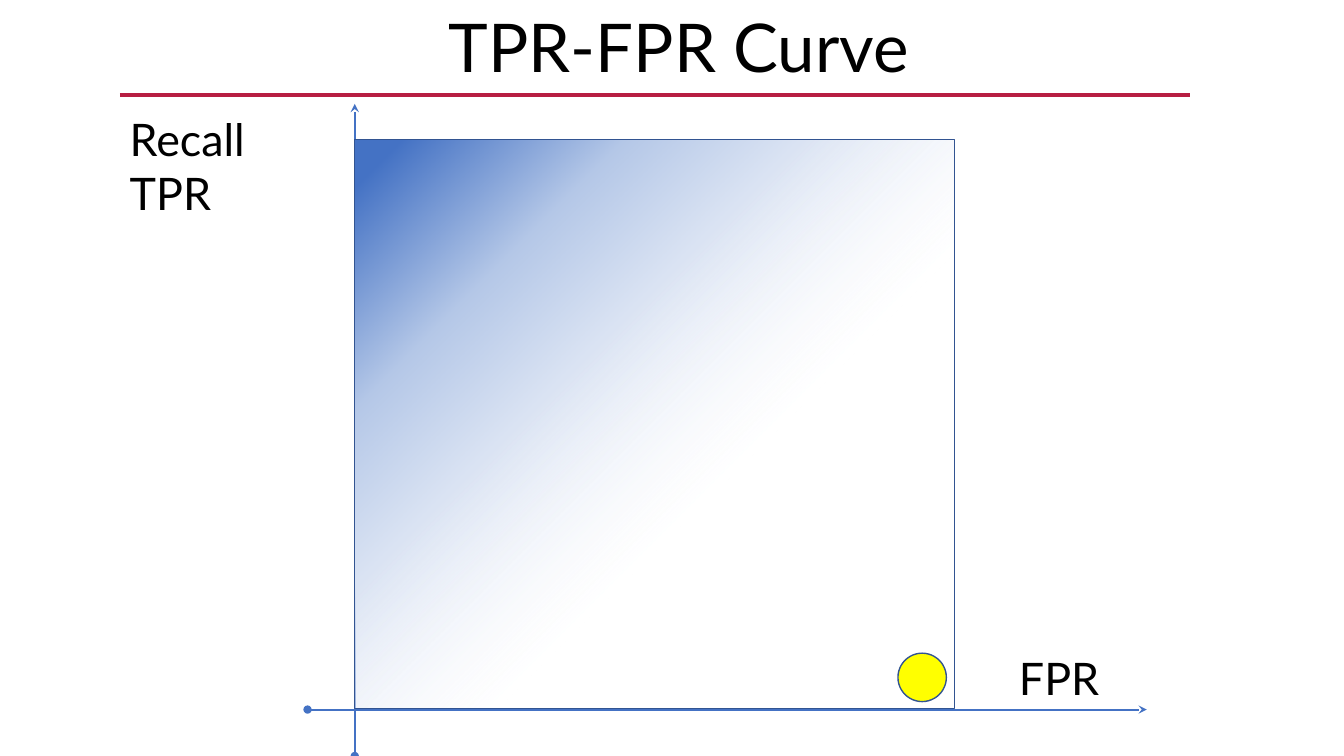
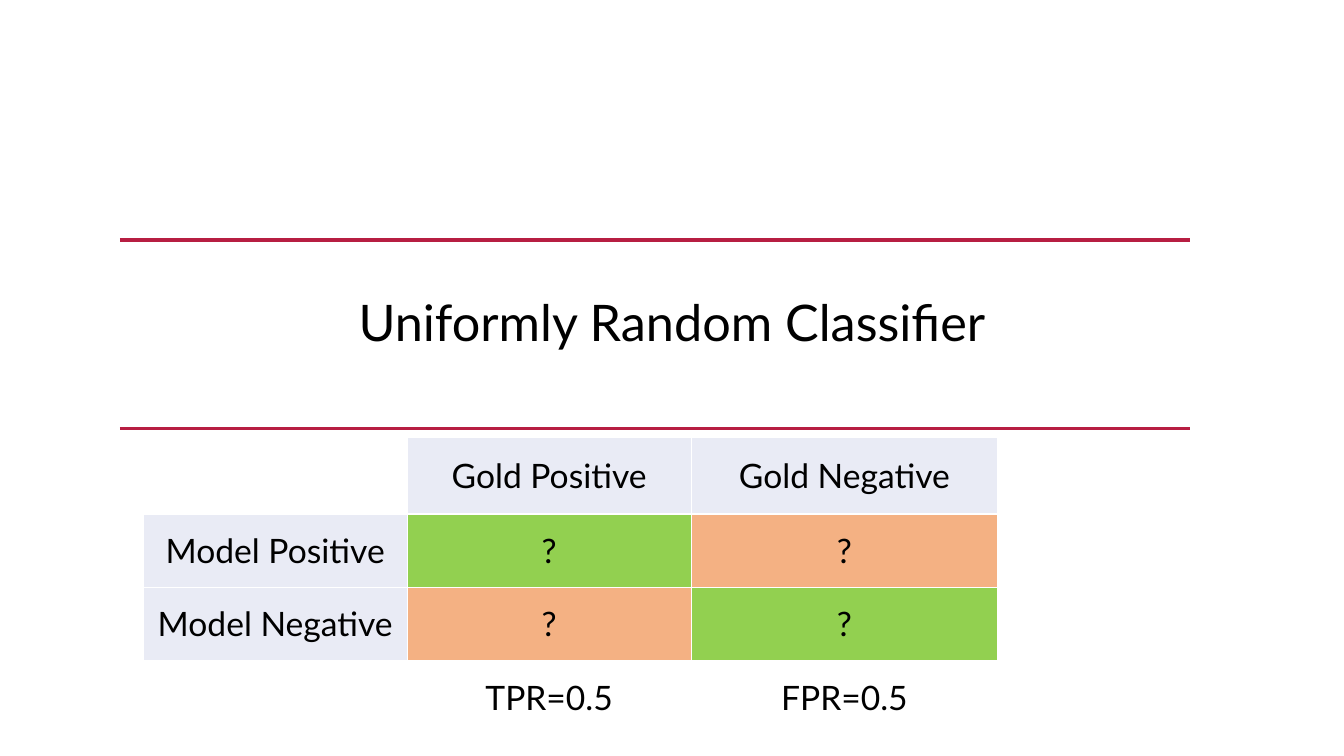
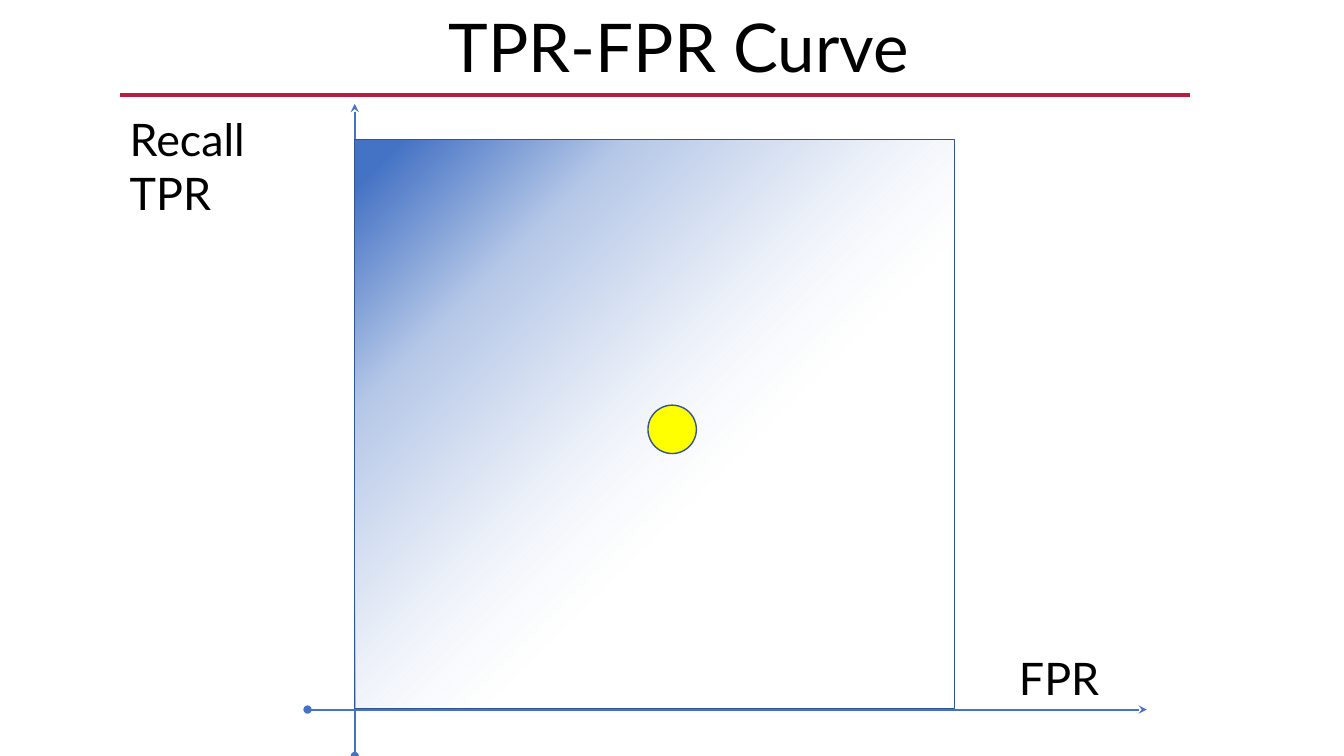
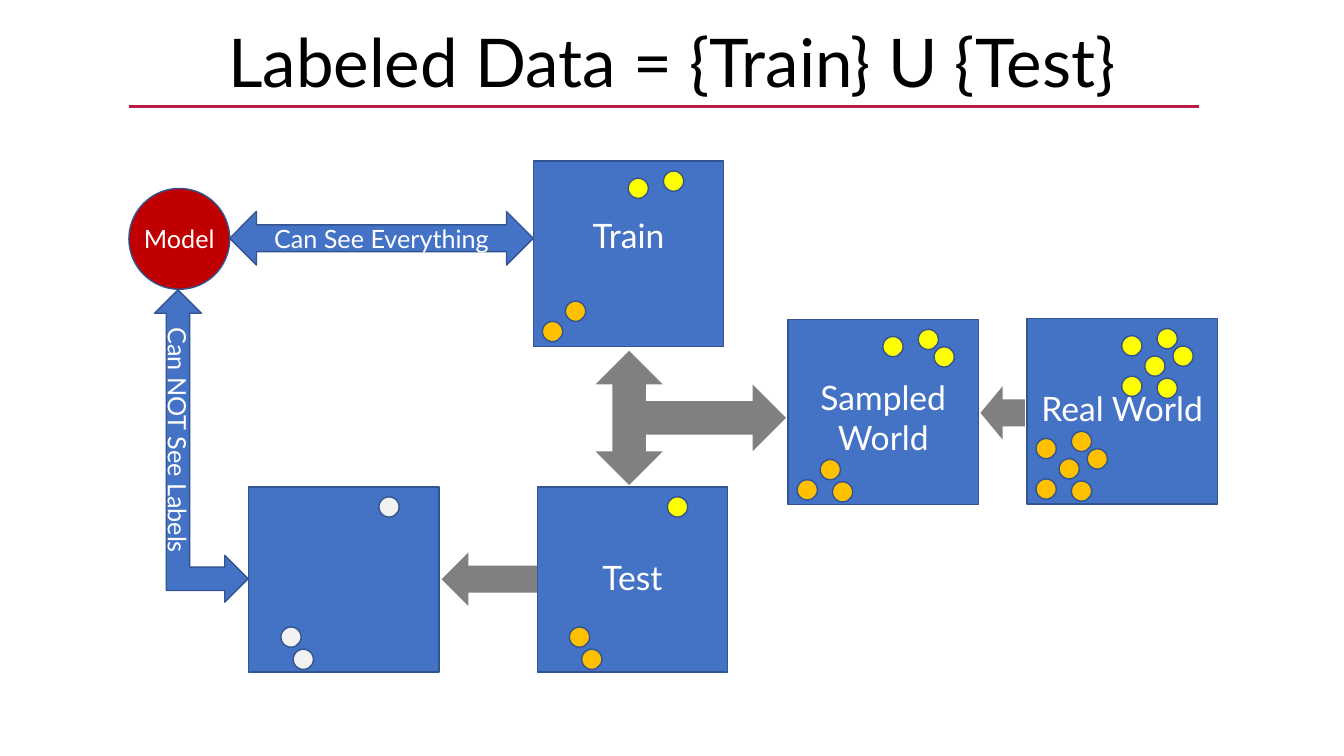
from dataclasses import dataclass
from typing import Optional

from lxml import etree
from pptx import Presentation
from pptx.dml.color import RGBColor
from pptx.enum.shapes import MSO_CONNECTOR, MSO_SHAPE
from pptx.enum.text import MSO_ANCHOR, MSO_AUTO_SIZE, PP_ALIGN
from pptx.oxml.ns import qn
from pptx.util import Cm, Pt

# Enum members
STRAIGHT = MSO_CONNECTOR.STRAIGHT
RECT, OVAL = MSO_SHAPE.RECTANGLE, MSO_SHAPE.OVAL
LEFT_ARROW, LEFT_RIGHT_ARROW = MSO_SHAPE.LEFT_ARROW, MSO_SHAPE.LEFT_RIGHT_ARROW
LEFT_UP_ARROW, THREE_WAY_ARROW = MSO_SHAPE.LEFT_UP_ARROW, MSO_SHAPE.LEFT_RIGHT_UP_ARROW
LEFT, CENTER = PP_ALIGN.LEFT, PP_ALIGN.CENTER
TOP, MIDDLE = MSO_ANCHOR.TOP, MSO_ANCHOR.MIDDLE
FIT_TEXT = MSO_AUTO_SIZE.SHAPE_TO_FIT_TEXT

# Colours
BLACK = RGBColor(0x00, 0x00, 0x00)
WHITE = RGBColor(0xFF, 0xFF, 0xFF)
CRIMSON = RGBColor(0xB7, 0x1E, 0x42)
BLUE = RGBColor(0x44, 0x72, 0xC4)
OUTLINE = RGBColor(0x32, 0x54, 0x91)
YELLOW = RGBColor(0xFF, 0xFF, 0x00)
ORANGE = RGBColor(0xFF, 0xC0, 0x00)
PALE = RGBColor(0xF2, 0xF2, 0xF2)
GREY = RGBColor(0x80, 0x80, 0x80)
RED = RGBColor(0xC0, 0x00, 0x00)
HEADER = RGBColor(0xE9, 0xEB, 0xF5)
GREEN = RGBColor(0x92, 0xD0, 0x50)
PEACH = RGBColor(0xF4, 0xB1, 0x83)

# Shared measures, in centimetres
FONT = "Lato"
SLIDE_W, SLIDE_H = 33.87, 19.05
RULE_LEFT, RULE_W = 3.02, 26.96

# Plot: (position %, colour, opacity %)
PLOT_STOPS = [(39, RGBColor(0xF6, 0xF8, 0xFC), 0), (62, RGBColor(0xDA, 0xE3, 0xF3), 100),
              (77, RGBColor(0xB4, 0xC7, 0xE7), 100), (96, BLUE, 100)]
PLOT_LEFT, PLOT_TOP, PLOT_W, PLOT_H = 8.94, 3.51, 15.11, 14.35

# Table
COL_WIDTHS = [6.65, 7.16, 7.72, 7.49]
ROW_HEIGHTS = [1.93, 1.85, 1.85, 1.85]
CELLS = [
    [("", None), ("Gold Positive", HEADER), ("Gold Negative", HEADER), ("", None)],
    [("Model Positive", HEADER), ("?", GREEN), ("?", PEACH), ("", None)],
    [("Model Negative", HEADER), ("?", PEACH), ("?", GREEN), ("", None)],
    [("", None), ("TPR=0.5", None), ("FPR=0.5", None), ("", None)],
]

# Data boxes: dots sit on six spots, the second class at a fixed shift
BOX_W, BOX_H, DOT = 4.8, 4.67, 0.51
SPOTS = [(3.28, 0.25), (3.68, 0.69), (2.97, 0.94), (3.28, 1.5), (2.39, 0.43), (2.39, 1.45)]
SHIFT_X, SHIFT_Y = -2.16, 2.59


@dataclass
class DataBox:
    x: float
    y: float
    label: str
    label_dy: float
    first: list[int]
    second: list[int]
    colors: tuple[RGBColor, RGBColor] = (YELLOW, ORANGE)


@dataclass
class Block:
    kind: int
    x: float
    y: float
    w: float
    h: float
    fill: RGBColor
    line: Optional[RGBColor] = OUTLINE
    text: str = ""
    rotation: int = 0
    inset: Optional[float] = None


BOXES = [
    DataBox(25.88, 8.03, "Real World", 1.63, [0, 1, 2, 3, 4, 5], [0, 1, 2, 3, 4, 5]),
    DataBox(19.86, 8.05, "Sampled World", 1.32, [0, 1, 4], [2, 3, 5]),
    DataBox(13.44, 4.06, "Train", 1.24, [0, 4], [2, 5]),
    DataBox(13.54, 12.27, "Test", 1.63, [0], [2, 3]),
    DataBox(6.27, 12.27, "", 0, [0], [2, 3], (PALE, PALE)),
]
FLOW = [
    Block(THREE_WAY_ARROW, 15.72, 8.13, 3.38, 4.8, GREY, None, rotation=90),
    Block(LEFT_ARROW, 24.71, 9.73, 1.12, 1.35, GREY, None),
    Block(OVAL, 3.25, 4.75, 2.54, 2.54, RED, text="Model", inset=0),
    Block(LEFT_ARROW, 11.13, 13.92, 2.41, 1.35, GREY, None),
    Block(LEFT_RIGHT_ARROW, 5.79, 5.33, 7.65, 1.35, BLUE, text="Can See Everything"),
    Block(LEFT_UP_ARROW, 1.14, 10.06, 7.87, 2.36, BLUE, text="Can NOT See Labels", rotation=90),
]


# Drawing helpers
def set_all(target, values: dict) -> None:
    for name, value in values.items():
        setattr(target, name, value)


def write(tf, text: str, size: int, color: RGBColor, align=CENTER) -> None:
    for i, line in enumerate(text.split("\n")):
        p = tf.add_paragraph() if i else tf.paragraphs[0]
        p.alignment = align
        r = p.add_run()
        r.text = line
        set_all(r.font, {"name": FONT, "size": Pt(size), "bold": False})
        r.font.color.rgb = color


def add_text(s, x: float, y: float, w: float, h: float, text: str, size: int,
             color: RGBColor = BLACK, align=CENTER) -> None:
    tf = s.shapes.add_textbox(Cm(x), Cm(y), Cm(w), Cm(h)).text_frame
    set_all(tf, {"word_wrap": True, "auto_size": FIT_TEXT, "vertical_anchor": TOP})
    write(tf, text, size, color, align)


def add_line(s, x1: float, y1: float, x2: float, y2: float, color: RGBColor,
             width: float, head: str = "", tail: str = "") -> None:
    c = s.shapes.add_connector(STRAIGHT, Cm(x1), Cm(y1), Cm(x2), Cm(y2))
    c.line.color.rgb = color
    c.line.width = Pt(width)
    ln = c.line._get_or_add_ln()
    for tag, end in (("a:headEnd", head), ("a:tailEnd", tail)):
        if end:
            etree.SubElement(ln, qn(tag), type=end)
    etree.SubElement(c._element.spPr, qn("a:effectLst"))


def add_rule(s, y: float, x: float = RULE_LEFT) -> None:
    add_line(s, x, y, x + RULE_W, y, CRIMSON, 2.5)


def add_block(s, b: Block):
    sp = s.shapes.add_shape(b.kind, Cm(b.x), Cm(b.y), Cm(b.w), Cm(b.h))
    sp.shadow.inherit = False
    sp.rotation = b.rotation
    sp.fill.solid()
    sp.fill.fore_color.rgb = b.fill
    if b.line is None:
        sp.line.fill.background()
    else:
        sp.line.color.rgb = b.line
        sp.line.width = Pt(1)
    if b.text:
        tf = sp.text_frame
        set_all(tf, {"word_wrap": True, "vertical_anchor": MIDDLE})
        if b.inset is not None:
            sides = ("margin_left", "margin_top", "margin_right", "margin_bottom")
            set_all(tf, dict.fromkeys(sides, Cm(b.inset)))
        write(tf, b.text, 18, WHITE)
    return sp


def add_title(s, text: str, y: float, x: float = 0, size: int = 48, h: float = 2.31) -> None:
    add_text(s, x, y, SLIDE_W, h, text, size)


def fill_gradient(sp, stops: list, angle: int) -> None:
    sp.fill.gradient()
    sp.fill.gradient_angle = angle
    gs_list = sp._element.spPr.find(qn("a:gradFill")).find(qn("a:gsLst"))
    for old in list(gs_list):
        gs_list.remove(old)
    for position, color, opacity in stops:
        gs = etree.SubElement(gs_list, qn("a:gs"), pos=str(position * 1000))
        clr = etree.SubElement(gs, qn("a:srgbClr"), val=str(color))
        if opacity < 100:
            etree.SubElement(clr, qn("a:alpha"), val=str(opacity * 1000))


def set_borders(cell, color: RGBColor, width: float) -> None:
    tc_pr = cell._tc.get_or_add_tcPr()
    for i, tag in enumerate(("a:lnL", "a:lnR", "a:lnT", "a:lnB")):
        ln = etree.Element(qn(tag), w=str(Pt(width)))
        fill = etree.SubElement(ln, qn("a:solidFill"))
        etree.SubElement(fill, qn("a:srgbClr"), val=str(color))
        tc_pr.insert(i, ln)


# Slides
def curve_slide(s, dot_x: float, dot_y: float) -> None:
    add_title(s, "TPR-FPR Curve", 0, x=0.18)
    add_rule(s, 2.39)
    add_line(s, 7.75, 17.88, 28.9, 17.88, BLUE, 1.5, "oval", "stealth")
    add_line(s, PLOT_LEFT, 2.62, PLOT_LEFT, SLIDE_H, BLUE, 1.5, "stealth", "oval")
    add_text(s, RULE_LEFT, 2.69, 5.51, 3, "Recall\nTPR", 32, align=LEFT)
    add_text(s, 25.43, 16.26, 5.51, 1.63, "FPR", 32, align=LEFT)
    plot = add_block(s, Block(RECT, PLOT_LEFT, PLOT_TOP, PLOT_W, PLOT_H, WHITE))
    fill_gradient(plot, PLOT_STOPS, 135)
    add_block(s, Block(OVAL, dot_x, dot_y, 1.22, 1.22, YELLOW))


def classifier_slide(s) -> None:
    add_rule(s, 10.8)
    add_title(s, "Uniformly Random Classifier", 7.21, size=36, h=1.8)
    add_rule(s, 6.05)
    table = s.shapes.add_table(len(CELLS), len(COL_WIDTHS), Cm(3.61), Cm(11.02),
                               Cm(sum(COL_WIDTHS)), Cm(sum(ROW_HEIGHTS))).table
    set_all(table, {"first_row": False, "horz_banding": False})
    for col, width in zip(table.columns, COL_WIDTHS):
        col.width = Cm(width)
    for row, height, contents in zip(table.rows, ROW_HEIGHTS, CELLS):
        row.height = Cm(height)
        for cell, (text, color) in zip(row.cells, contents):
            cell.vertical_anchor = MIDDLE
            if color is None:
                cell.fill.background()
            else:
                cell.fill.solid()
                cell.fill.fore_color.rgb = color
            set_borders(cell, WHITE, 1)
            if text:
                write(cell.text_frame, text, 24, BLACK)


def add_data_box(s, box: DataBox) -> None:
    add_block(s, Block(RECT, box.x, box.y, BOX_W, BOX_H, BLUE))
    groups = ((box.first, 0, 0), (box.second, SHIFT_X, SHIFT_Y))
    for (spots, dx, dy), color in zip(groups, box.colors):
        for i in spots:
            x, y = SPOTS[i]
            add_block(s, Block(OVAL, box.x + x + dx, box.y + y + dy, DOT, DOT, color))
    if box.label:
        add_text(s, box.x, box.y + box.label_dy, BOX_W, 1.27, box.label, 24, WHITE)


def data_slide(s) -> None:
    add_title(s, "Labeled Data = {Train} U {Test}", 0.38)
    add_rule(s, 2.69, x=3.25)
    for box in BOXES:
        add_data_box(s, box)
    for block in FLOW:
        add_block(s, block)


def main() -> None:
    prs = Presentation()
    prs.slide_width, prs.slide_height = Cm(SLIDE_W), Cm(SLIDE_H)
    blank = prs.slide_layouts[6]
    curve_slide(prs.slides.add_slide(blank), 22.63, 16.46)
    classifier_slide(prs.slides.add_slide(blank))
    curve_slide(prs.slides.add_slide(blank), 16.33, 10.21)
    data_slide(prs.slides.add_slide(blank))
    prs.save("out.pptx")


if __name__ == "__main__":
    main()
